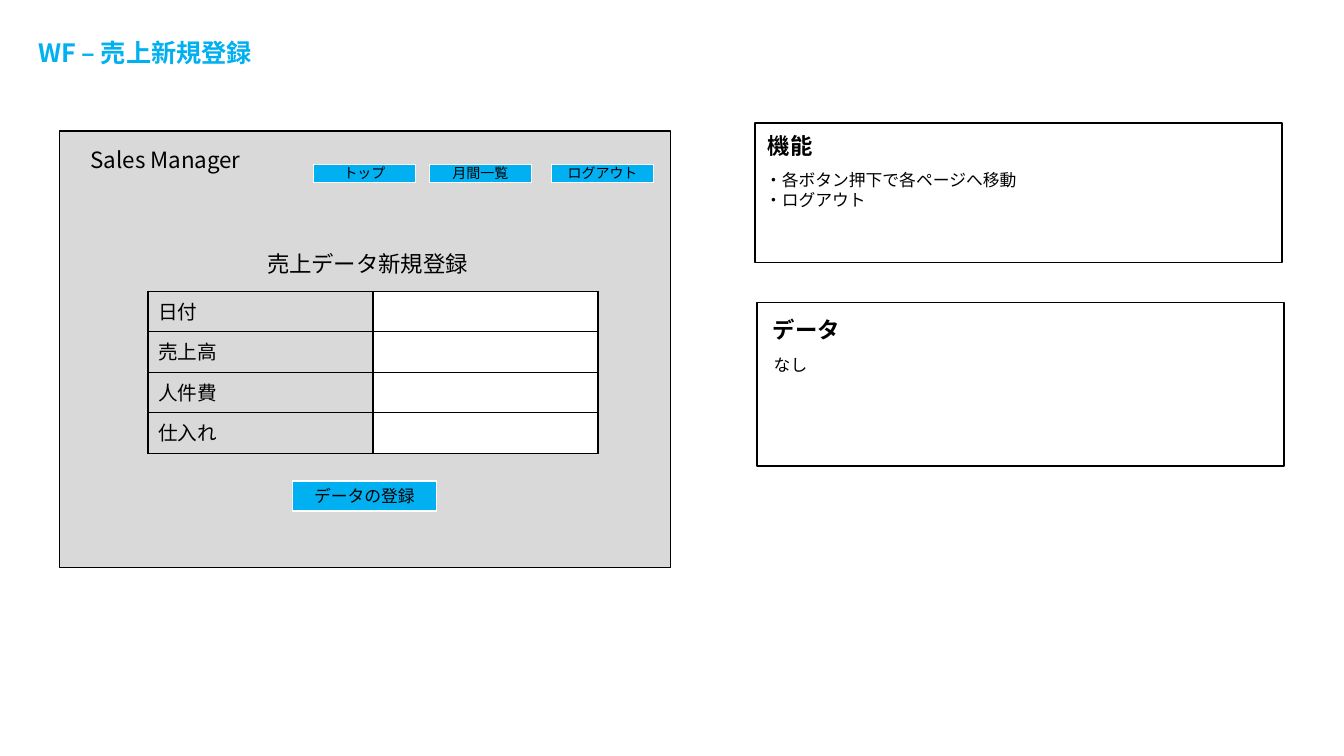
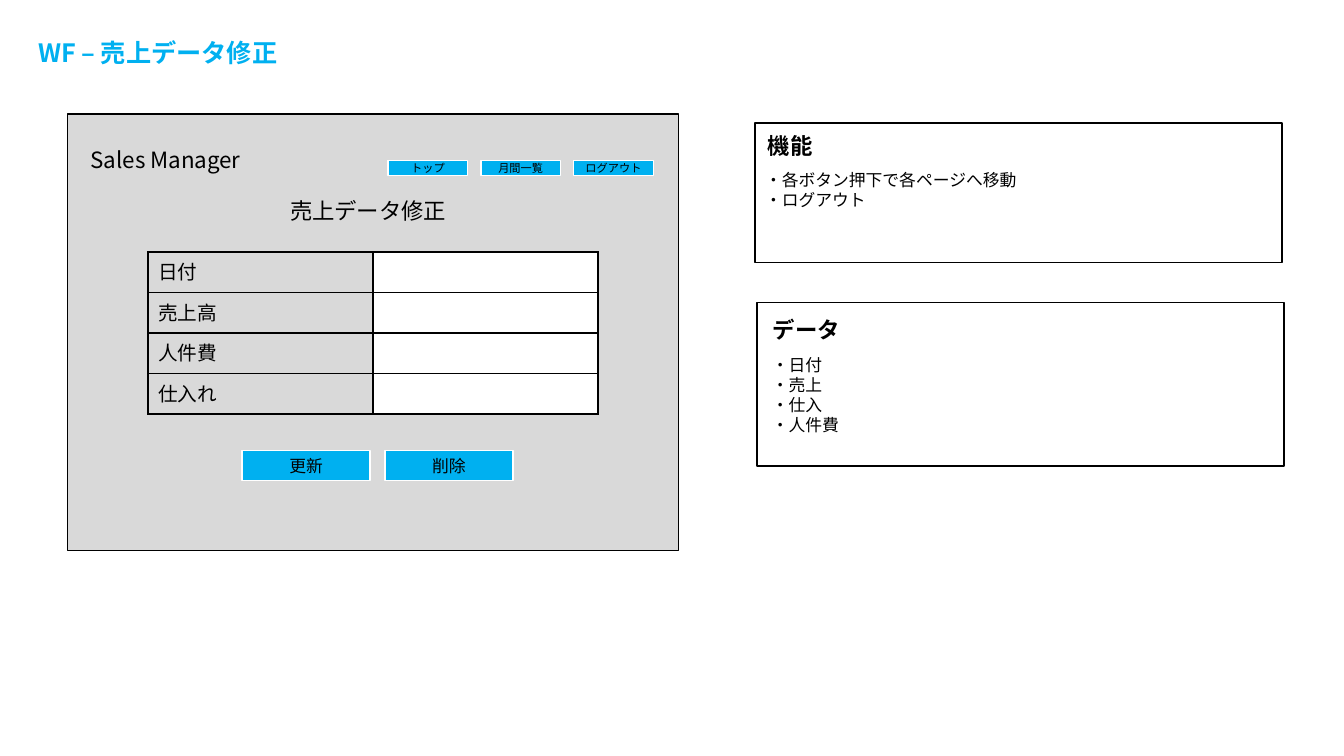
from pptx import Presentation
from pptx.dml.color import RGBColor as RGB
from pptx.enum.shapes import MSO_SHAPE as Geo
from pptx.enum.text import MSO_ANCHOR as Anchor, PP_ALIGN as Align
from pptx.oxml import parse_xml
from pptx.oxml.ns import nsdecls
from pptx.util import Cm, Pt

BLUE = RGB(0x00, 0xB0, 0xF0)
GRAY = RGB(0xD9, 0xD9, 0xD9)
BLACK = RGB(0x00, 0x00, 0x00)
WHITE = RGB(0xFF, 0xFF, 0xFF)
FONT = "Noto Sans CJK JP"

FIELDS = ["日付", "売上高", "人件費", "仕入れ"]
LINKS = ["トップ", "月間一覧", "ログアウト"]
TASKS = ["・各ボタン押下で各ページへ移動", "・ログアウト"]


class Deck:
    """Shared style and the slide being drawn."""

    def __init__(self):
        self.prs = Presentation()
        self.prs.slide_width, self.prs.slide_height = Cm(33.87), Cm(19.05)
        self.slide = None

    def page(self, title, width):
        self.slide = self.prs.slides.add_slide(self.prs.slide_layouts[6])
        self.text(0.71, 0.81, width, 1.02, [title], 18, BLUE, True)

    def run(self, para, text, size, color=BLACK, bold=False):
        run = para.add_run()
        run.text = text
        font = run.font
        font.name, font.size, font.bold = FONT, Pt(size), bold
        font.color.rgb = color
        run._r.get_or_add_rPr().append(
            parse_xml(f'<a:ea {nsdecls("a")} typeface="{FONT}"/>'))

    def text(self, x, y, w, h, lines, size, color=BLACK, bold=False):
        box = self.slide.shapes.add_textbox(Cm(x), Cm(y), Cm(w), Cm(h))
        frame = box.text_frame
        frame.word_wrap = True
        for i, line in enumerate(lines):
            para = frame.add_paragraph() if i else frame.paragraphs[0]
            para.line_spacing = Pt(size * 1.2)
            self.run(para, line, size, color, bold)

    def rect(self, x, y, w, h, fill=None, line=BLACK):
        box = self.slide.shapes.add_shape(
            Geo.RECTANGLE, Cm(x), Cm(y), Cm(w), Cm(h))
        box.shadow.inherit = False
        if fill is None:
            box.fill.background()
        else:
            box.fill.solid()
            box.fill.fore_color.rgb = fill
        box.line.color.rgb = line
        box.line.width = Pt(1)
        return box

    def button(self, x, y, w, h, label, size):
        frame = self.rect(x, y, w, h, BLUE, WHITE).text_frame
        frame.vertical_anchor = Anchor.MIDDLE
        para = frame.paragraphs[0]
        para.alignment = Align.CENTER
        self.run(para, label, size)

    def buttons(self, lefts, y, w, h, labels, size):
        for x, label in zip(lefts, labels):
            self.button(x, y, w, h, label, size)

    def border(self, cell):
        props = cell._tc.get_or_add_tcPr()
        for side in "LRTB":
            props.append(parse_xml(
                f'<a:ln{side} {nsdecls("a")} w="12700"><a:solidFill>'
                f'<a:srgbClr val="{BLACK}"/></a:solidFill></a:ln{side}>'))

    def form(self, y):
        rows, high = len(FIELDS), 1.02
        table = self.slide.shapes.add_table(
            rows, 2, Cm(3.73), Cm(y), Cm(11.34), Cm(rows * high)).table
        table.first_row = table.horz_banding = False
        for i, field in enumerate(FIELDS):
            table.rows[i].height = Cm(high)
            label, entry = table.cell(i, 0), table.cell(i, 1)
            for cell in (label, entry):
                self.border(cell)
            label.fill.background()
            entry.fill.solid()
            entry.fill.fore_color.rgb = WHITE
            self.run(label.text_frame.paragraphs[0], field, 14)

    def screen(self, x, y):
        self.rect(x, y, 15.4, 11, GRAY)
        self.text(2.03, 3.56, 4.44, 0.94, ["Sales Manager"], 16)

    def notes(self, data, left):
        # Functions
        self.rect(19.03, 3.1, 13.28, 3.52)
        self.text(19.1, 3.2, 1.67, 0.94, ["機能"], 16, bold=True)
        self.text(19.03, 4.14, 6.95, 1.28, TASKS, 12)
        # Data
        self.rect(19.08, 7.62, 13.28, 4.12)
        self.text(19.23, 7.85, 2.25, 0.94, ["データ"], 16, bold=True)
        self.text(left, 8.81, 2.25, 0.25 + 0.51 * len(data), data, 12)


def main():
    deck = Deck()

    # New sales entry
    deck.page("WF – 売上新規登録", 6.02)
    deck.screen(1.5, 3.3)
    deck.text(6.48, 6.17, 5.65, 0.94, ["売上データ新規登録"], 16)
    deck.buttons([7.9, 10.82, 13.9], 4.14, 2.57, 0.46, LINKS, 10)
    deck.form(7.34)
    deck.button(7.37, 12.12, 3.63, 0.76, "データの登録", 12)
    deck.notes(["なし"], 19.25)

    # Sales data edit
    deck.page("WF – 売上データ修正", 6.66)
    deck.screen(1.7, 2.87)
    deck.text(7.06, 4.85, 4.52, 0.94, ["売上データ修正"], 16)
    deck.buttons([9.78 + 2.34 * i for i in range(3)],
                 4.05, 2.01, 0.38, LINKS, 8)
    deck.form(6.35)
    deck.buttons([6.1, 9.7], 11.35, 3.23, 0.76, ["更新", "削除"], 12)
    deck.notes(["・日付", "・売上", "・仕入", "・人件費"], 19.2)

    deck.prs.save("out.pptx")


if __name__ == "__main__":
    main()
